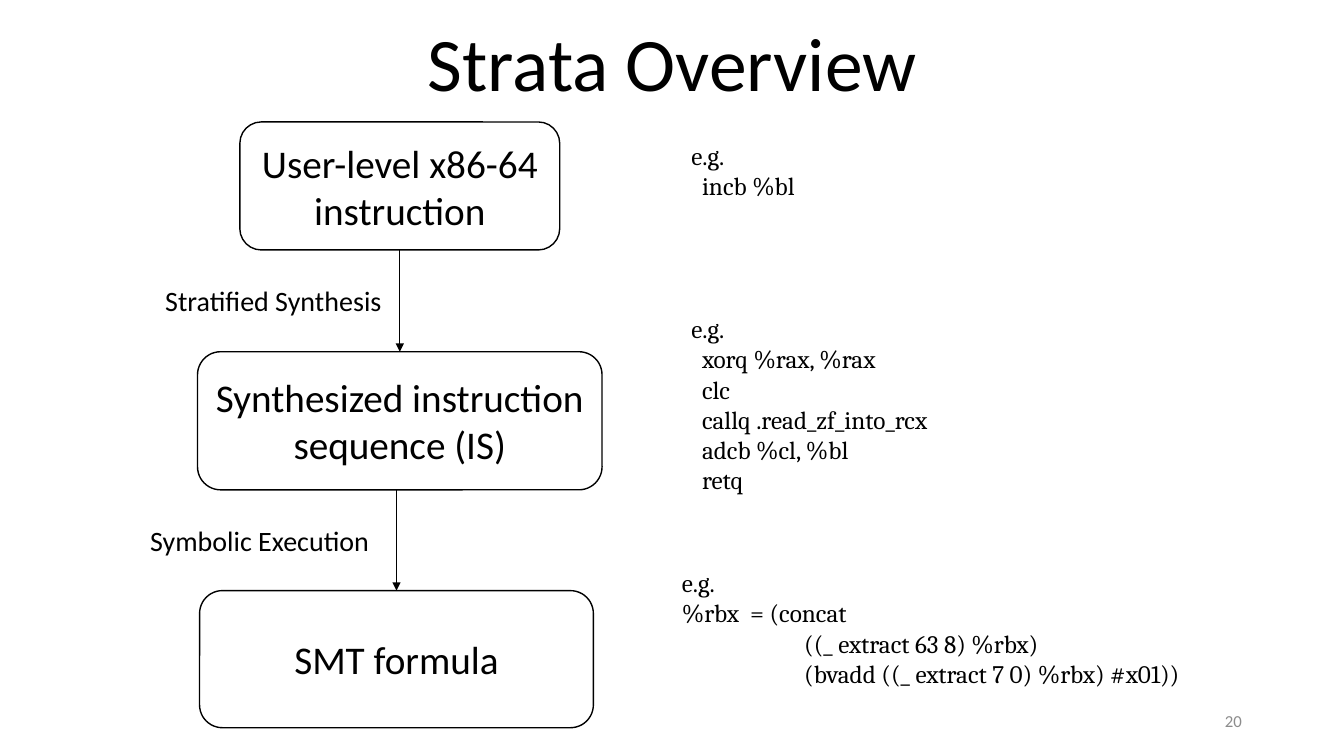
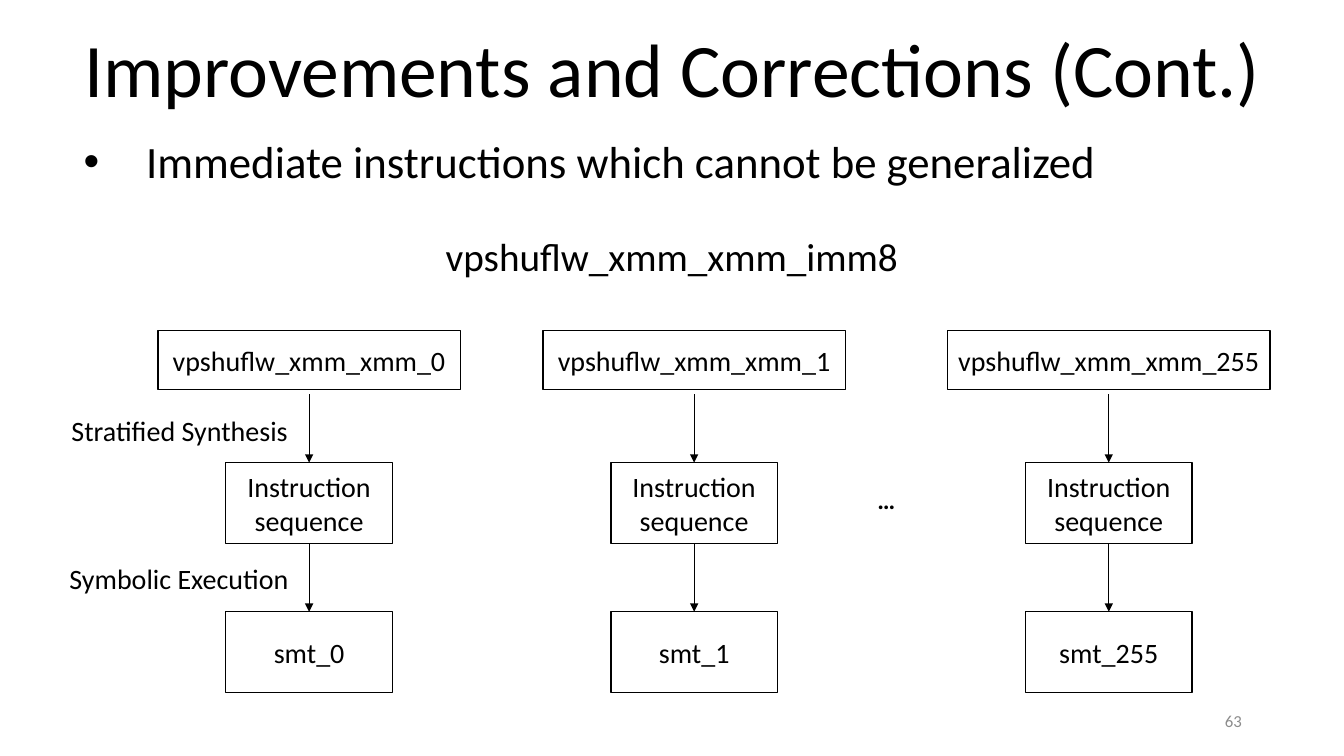
from dataclasses import dataclass

from lxml import etree
from pptx import Presentation
from pptx.dml.color import RGBColor
from pptx.enum.shapes import MSO_CONNECTOR, MSO_SHAPE
from pptx.enum.text import MSO_ANCHOR, PP_ALIGN
from pptx.oxml.ns import qn
from pptx.shapes.autoshape import Shape
from pptx.slide import Slide
from pptx.util import Emu, Pt

RECTANGLE = MSO_SHAPE.RECTANGLE
ROUNDED = MSO_SHAPE.ROUNDED_RECTANGLE
STRAIGHT = MSO_CONNECTOR.STRAIGHT
LEFT, CENTER, RIGHT = PP_ALIGN.LEFT, PP_ALIGN.CENTER, PP_ALIGN.RIGHT
TOP, MIDDLE, BOTTOM = MSO_ANCHOR.TOP, MSO_ANCHOR.MIDDLE, MSO_ANCHOR.BOTTOM
TOP_SITE, BOTTOM_SITE = 0, 2
TITLE_ONLY = 5

SLIDE_WIDTH, SLIDE_HEIGHT = Emu(12192000), Emu(6858000)
GRID_COLUMNS = GRID_ROWS = 100
COLORS = {"ink": "000000", "paper": "FFFFFF", "muted": "8C8C8C"}
BOX_INSET = 0.5


@dataclass(frozen=True)
class Area:
    column: float
    row: float
    columns: float
    rows: float

    @property
    def center(self) -> float:
        return self.column + self.columns / 2


@dataclass(frozen=True)
class TextStyle:
    size: int
    font: str = "Calibri"
    color: str = "ink"
    align: PP_ALIGN = LEFT
    anchor: MSO_ANCHOR = TOP
    bold: bool = False


@dataclass(frozen=True)
class Line:
    text: str
    indent: float = 0


@dataclass(frozen=True)
class Label:
    text: str
    area: Area


@dataclass(frozen=True)
class Example:
    area: Area
    lines: tuple[Line, ...]


@dataclass(frozen=True)
class Pipeline:
    suffix: str
    center: float
    columns: float


TITLE = TextStyle(54, align=CENTER, anchor=BOTTOM)
STAGE = TextStyle(28, align=CENTER, anchor=MIDDLE)
STEP = TextStyle(20, align=CENTER, anchor=MIDDLE)
LABEL = TextStyle(20)
CODE = TextStyle(18, font="Cambria")
BULLET = TextStyle(32)
ELLIPSIS = TextStyle(18, bold=True)
NUMBER = TextStyle(12, color="muted", align=RIGHT, anchor=MIDDLE)

NUMBER_AREA = Area(70.65, 92.67, 22.5, 5.33)
BULLET_INDENT = 4.65
CODE_INDENT = 0.8

USER_AREA = Area(17.85, 16.13, 23.8, 16.93)
SEQUENCE_AREA = Area(14.7, 46.53, 30.1, 18.27)
FORMULA_AREA = Area(14.85, 78.13, 29.3, 18.13)
OVERVIEW_LABELS = (
    Label("Stratified Synthesis", Area(11.55, 36.8, 17.85, 5.87)),
    Label("Symbolic Execution", Area(10.43, 68.53, 18, 5.87)),
)
EXAMPLES = (
    Example(Area(50.7, 17.87, 16.3, 13.47),
            (Line("e.g."), Line("incb %bl", CODE_INDENT))),
    Example(Area(50.7, 40.8, 26.2, 29.6),
            (Line("e.g."),
             *(Line(text, CODE_INDENT) for text in (
                 "xorq %rax, %rax", "clc", "callq .read_zf_into_rcx",
                 "adcb %cl, %bl", "retq")))),
    Example(Area(50, 74.4, 43.8, 21.6),
            (Line("e.g."), Line("%rbx  = (concat"),
             Line("((_ extract 63 8) %rbx)", 9.1),
             Line("(bvadd ((_ extract 7 0) %rbx) #x01))", 9.1))),
)

PIPELINES = (
    Pipeline("0", 23, 22.5),
    Pipeline("1", 51.65, 22.5),
    Pipeline("255", 82.5, 24),
)
VARIANT_ROW, VARIANT_ROWS = 43.75, 7.75
ARROW_ROW = 52.13
SEQUENCE_ROW, FORMULA_ROW = 61.2, 80.93
STEP_COLUMNS, STEP_ROWS = 12.4, 10.7
CORRECTION_LABELS = (
    Label("Stratified Synthesis", Area(4.58, 54, 17.85, 5.87)),
    Label("Symbolic Execution", Area(4.43, 73.6, 18, 5.87)),
)


def across(columns: float) -> Emu:
    return Emu(round(SLIDE_WIDTH * columns / GRID_COLUMNS))


def down(rows: float) -> Emu:
    return Emu(round(SLIDE_HEIGHT * rows / GRID_ROWS))


def bounds(area: Area) -> tuple[Emu, Emu, Emu, Emu]:
    return (across(area.column), down(area.row),
            across(area.columns), down(area.rows))


def color(name: str) -> RGBColor:
    return RGBColor.from_string(COLORS[name])


def write(shape: Shape, lines: tuple[Line, ...], style: TextStyle,
          wrap: bool = True) -> None:
    frame = shape.text_frame
    frame.text = "\n".join(line.text for line in lines)
    frame.word_wrap = wrap
    frame.vertical_anchor = style.anchor
    for paragraph, line in zip(frame.paragraphs, lines):
        paragraph.alignment = style.align
        if line.indent:
            properties = paragraph._p.get_or_add_pPr()
            properties.set("marL", str(across(line.indent)))
        for run in paragraph.runs:
            run.font.name = style.font
            run.font.size = Pt(style.size)
            run.font.bold = style.bold
            run.font.color.rgb = color(style.color)


def add_text(slide: Slide, area: Area, lines: tuple[Line, ...],
             style: TextStyle, wrap: bool = True) -> Shape:
    shape = slide.shapes.add_textbox(*bounds(area))
    write(shape, lines, style, wrap)
    return shape


def add_box(slide: Slide, area: Area, text: str, style: TextStyle,
            outline: MSO_SHAPE = RECTANGLE, bordered: bool = True) -> Shape:
    shape = slide.shapes.add_shape(outline, *bounds(area))
    shape.shadow.inherit = False
    shape.fill.solid()
    shape.fill.fore_color.rgb = color("paper")
    if bordered:
        shape.line.color.rgb = color("ink")
        shape.line.width = Pt(1)
    else:
        shape.line.fill.background()
    write(shape, (Line(text),), style)
    shape.text_frame.margin_left = across(BOX_INSET)
    shape.text_frame.margin_right = across(BOX_INSET)
    return shape


def add_arrow(slide: Slide, column: float, start_row: float, end_row: float,
              target: Shape, source: Shape | None = None) -> None:
    connector = slide.shapes.add_connector(
        STRAIGHT, across(column), down(start_row), across(column), down(end_row))
    if source is not None:
        connector.begin_connect(source, BOTTOM_SITE)
    connector.end_connect(target, TOP_SITE)
    connector.line.color.rgb = color("ink")
    connector.line.width = Pt(0.5)
    properties = connector._element.spPr
    etree.SubElement(properties.find(qn("a:ln")), qn("a:tailEnd"), type="triangle")
    etree.SubElement(properties, qn("a:effectLst"))


def add_labels(slide: Slide, labels: tuple[Label, ...]) -> None:
    for label in labels:
        add_text(slide, label.area, (Line(label.text),), LABEL, wrap=False)


def add_titled_slide(presentation: Presentation, title: str, title_row: float,
                     number: str) -> Slide:
    slide = presentation.slides.add_slide(presentation.slide_layouts[TITLE_ONLY])
    shape = slide.shapes.title
    shape.left, shape.top, shape.width, shape.height = bounds(
        Area(4.05, title_row, 91.95, 13.2))
    write(shape, (Line(title),), TITLE)
    shape.text_frame.paragraphs[0].line_spacing = 0.9
    add_text(slide, NUMBER_AREA, (Line(number),), NUMBER)
    return slide


def build_overview(presentation: Presentation) -> None:
    slide = add_titled_slide(presentation, "Strata Overview", 1.73, "20")
    user = add_box(slide, USER_AREA, "User-level x86-64 instruction", STAGE, ROUNDED)
    sequence = add_box(slide, SEQUENCE_AREA, "Synthesized instruction sequence (IS)",
                       STAGE, ROUNDED)
    formula = add_box(slide, FORMULA_AREA, "SMT formula", STAGE, ROUNDED)
    add_arrow(slide, USER_AREA.center, USER_AREA.row + USER_AREA.rows,
              SEQUENCE_AREA.row, sequence, user)
    add_arrow(slide, FORMULA_AREA.center, SEQUENCE_AREA.row + SEQUENCE_AREA.rows,
              FORMULA_AREA.row, formula)
    add_labels(slide, OVERVIEW_LABELS)
    for example in EXAMPLES:
        add_text(slide, example.area, example.lines, CODE, wrap=False)


def add_pipeline(slide: Slide, pipeline: Pipeline) -> None:
    variant_area = Area(pipeline.center - pipeline.columns / 2, VARIANT_ROW,
                        pipeline.columns, VARIANT_ROWS)
    add_box(slide, variant_area, f"vpshuflw_xmm_xmm_{pipeline.suffix}", STEP)
    step_column = pipeline.center - STEP_COLUMNS / 2
    sequence, formula = (
        add_box(slide, Area(step_column, row, STEP_COLUMNS, STEP_ROWS), text, STEP)
        for row, text in ((SEQUENCE_ROW, "Instruction sequence"),
                          (FORMULA_ROW, f"smt_{pipeline.suffix}")))
    add_arrow(slide, pipeline.center, ARROW_ROW, SEQUENCE_ROW, sequence)
    add_arrow(slide, pipeline.center, SEQUENCE_ROW + STEP_ROWS, FORMULA_ROW,
              formula, sequence)


def build_corrections(presentation: Presentation) -> None:
    slide = add_titled_slide(
        presentation, "Improvements and Corrections (Cont.)", 2.53, "63")
    bullet = add_text(
        slide, Area(5.48, 17.07, 89, 41.33),
        (Line("Immediate instructions which cannot be generalized", BULLET_INDENT),),
        BULLET)
    properties = bullet.text_frame.paragraphs[0]._p.get_or_add_pPr()
    properties.set("indent", str(-across(BULLET_INDENT)))
    etree.SubElement(properties, qn("a:buFont"), typeface="Arial")
    etree.SubElement(properties, qn("a:buChar"), char="•")
    add_box(slide, Area(30.4, 31.33, 39.15, 4.93), "vpshuflw_xmm_xmm_imm8",
            STAGE, bordered=False)
    for pipeline in PIPELINES:
        add_pipeline(slide, pipeline)
    add_text(slide, Area(62.85, 63.47, 5.78, 5.33), (Line("…", 1.7),), ELLIPSIS)
    add_labels(slide, CORRECTION_LABELS)


def main() -> None:
    presentation = Presentation()
    presentation.slide_width = SLIDE_WIDTH
    presentation.slide_height = SLIDE_HEIGHT
    build_overview(presentation)
    build_corrections(presentation)
    presentation.save("out.pptx")


if __name__ == "__main__":
    main()
